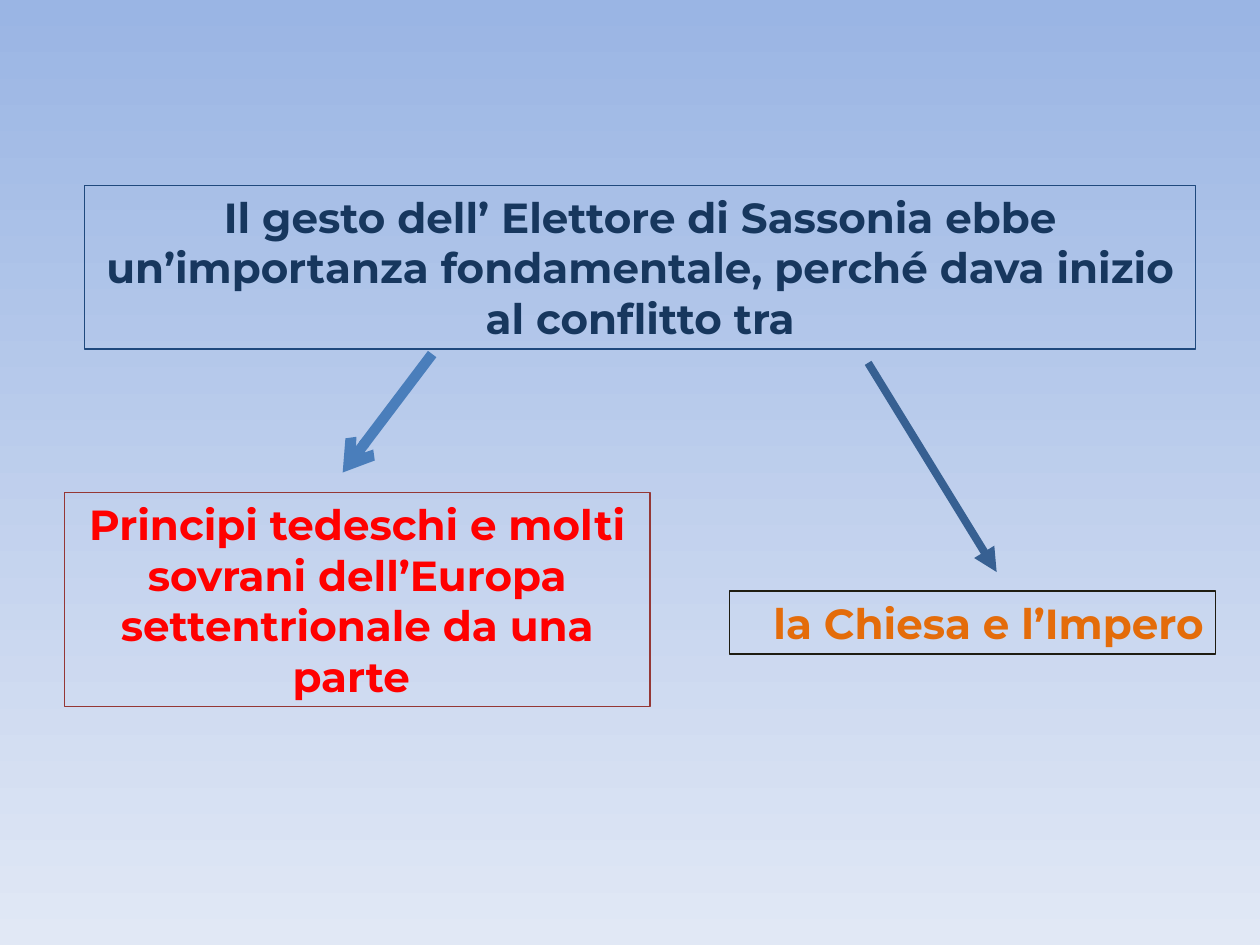
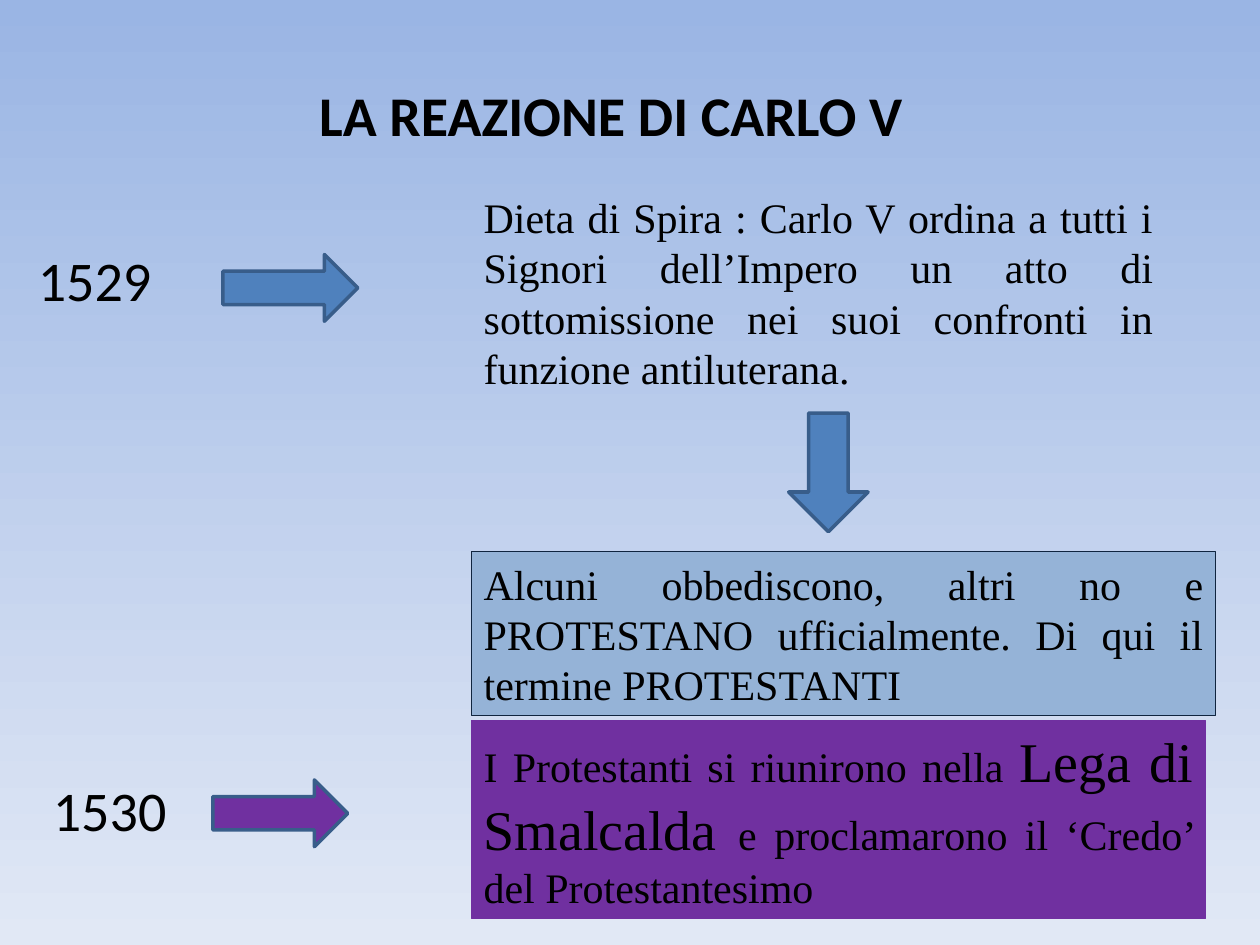
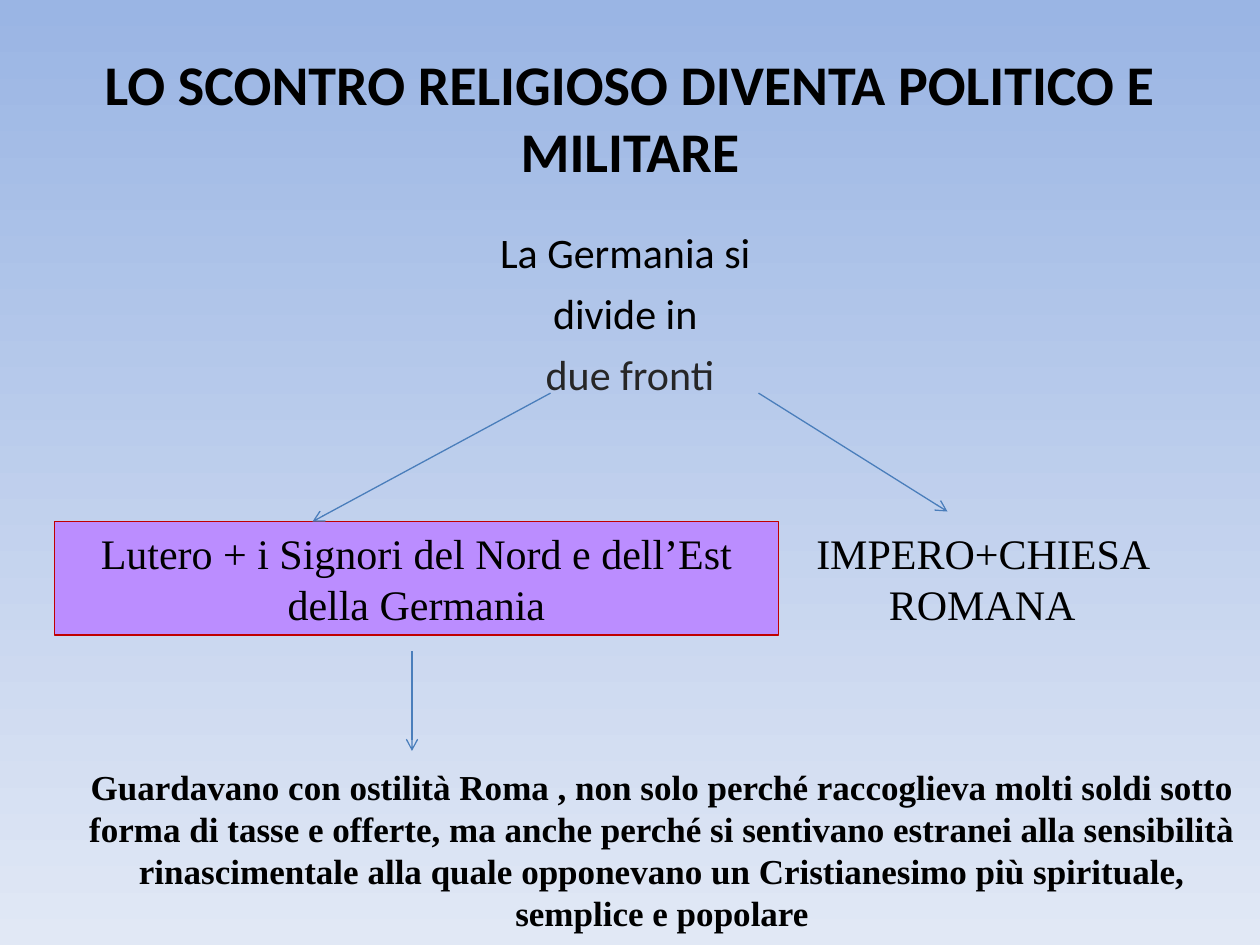
import pptx
import pptx.dml.color
import pptx.enum.shapes
import pptx.enum.text
import pptx.oxml.ns
import pptx.util
from lxml import etree

RGB = pptx.dml.color.RGBColor
SHAPES = pptx.enum.shapes.MSO_SHAPE
ALIGN = pptx.enum.text.PP_ALIGN
ANCHOR = pptx.enum.text.MSO_ANCHOR
Pt = pptx.util.Pt

# Colours
SKY = RGB(0x9A, 0xB5, 0xE4)
MIST = RGB(0xE1, 0xE8, 0xF5)
BLACK = RGB(0x00, 0x00, 0x00)
CHARCOAL = RGB(0x26, 0x26, 0x26)
INK = RGB(0x1E, 0x1C, 0x11)
NAVY = RGB(0x17, 0x37, 0x5E)
DARK_NAVY = RGB(0x10, 0x25, 0x3F)
BLUE = RGB(0x1F, 0x49, 0x7D)
STEEL = RGB(0x37, 0x60, 0x92)
ARROW_BLUE = RGB(0x4A, 0x7E, 0xBB)
BLOCK_BLUE = RGB(0x4F, 0x81, 0xBD)
BLOCK_EDGE = RGB(0x38, 0x5D, 0x8A)
PALE_BLUE = RGB(0x95, 0xB3, 0xD7)
RED = RGB(0xFF, 0x00, 0x00)
CRIMSON = RGB(0xC0, 0x00, 0x00)
BRICK = RGB(0x95, 0x37, 0x35)
ORANGE = RGB(0xE4, 0x6C, 0x0A)
PURPLE = RGB(0x70, 0x30, 0xA0)
LILAC = RGB(0xBB, 0x8D, 0xFF)

# Fonts
SANS = "Calibri"
DISPLAY = "Montserrat"
SERIF = "Times New Roman"

# Grid of 10 columns by 7.5 rows with square cells
SLIDE_WIDTH = pptx.util.Inches(10)
SLIDE_HEIGHT = pptx.util.Inches(7.5)
CELL = SLIDE_WIDTH / 10

LAYOUT_CONTENT = 1
LAYOUT_BLANK = 6


def cells(*numbers):
    """Turn grid positions into lengths."""
    return [round(number * CELL) for number in numbers]


def place(shape, area):
    shape.left, shape.top, shape.width, shape.height = cells(*area)


def style_paragraph(para, font, size, color=BLACK, bold=False, align=ALIGN.LEFT):
    para.alignment = align
    para.font.name = font
    para.font.size = Pt(size)
    para.font.bold = bold
    para.font.color.rgb = color


def set_background(deck):
    fill = deck.slide_master.background.fill
    fill.gradient()
    fill.gradient_angle = 270
    for stop, color in zip(fill.gradient_stops, (SKY, MIST)):
        stop.color.rgb = color


def add_title(page, text, area):
    title = page.shapes.title
    place(title, area)
    title.text_frame.text = text
    title.text_frame.vertical_anchor = ANCHOR.MIDDLE
    title.text_frame.auto_size = pptx.enum.text.MSO_AUTO_SIZE.NONE
    style_paragraph(title.text_frame.paragraphs[0], SANS, 32, bold=True, align=ALIGN.CENTER)


def fill_body(page, lines, area, size, align=ALIGN.LEFT):
    """Put (text, colour) lines without bullets in the body placeholder."""
    body = page.placeholders[1]
    place(body, area)
    frame = body.text_frame
    frame.auto_size = pptx.enum.text.MSO_AUTO_SIZE.NONE
    frame.text = "\n".join(text for text, _ in lines)
    for index, (para, (_, color)) in enumerate(zip(frame.paragraphs, lines)):
        properties = para._p.get_or_add_pPr()
        properties.set("marL", "0")
        properties.set("indent", "0")
        etree.SubElement(properties, pptx.oxml.ns.qn("a:buNone"))
        para.space_before = Pt(6 if index else 0)
        style_paragraph(para, SANS, size, color, align=align)


def add_box(page, area, spans, font, size=24, color=BLACK, bold=False,
            align=ALIGN.CENTER, fill=None, edge=None):
    """Add a text box; spans are (text, size) pairs or one plain string."""
    box = page.shapes.add_textbox(*cells(*area))
    if fill is not None:
        box.fill.solid()
        box.fill.fore_color.rgb = fill
    if edge is not None:
        box.line.color.rgb = edge
        box.line.width = Pt(0.75)
    box.text_frame.word_wrap = True
    para = box.text_frame.paragraphs[0]
    if isinstance(spans, str):
        para.add_run().text = spans
    else:
        for text, span_size in spans:
            span = para.add_run()
            span.text = text
            span.font.size = Pt(span_size)
    style_paragraph(para, font, size, color, bold, align)


def add_block_arrow(page, kind, area, fill=BLOCK_BLUE):
    arrow = page.shapes.add_shape(kind, *cells(*area))
    arrow.shadow.inherit = False
    arrow.fill.solid()
    arrow.fill.fore_color.rgb = fill
    arrow.line.color.rgb = BLOCK_EDGE
    arrow.line.width = Pt(2)


def add_arrow(page, start, end, color=ARROW_BLUE, width=0.75, head="arrow"):
    arrow = page.shapes.add_connector(
        pptx.enum.shapes.MSO_CONNECTOR.STRAIGHT, *cells(*start, *end))
    arrow.line.color.rgb = color
    arrow.line.width = Pt(width)
    etree.SubElement(arrow.line._get_or_add_ln(), pptx.oxml.ns.qn("a:tailEnd"), type=head)
    etree.SubElement(arrow._element.spPr, pptx.oxml.ns.qn("a:effectLst"))


def add_conflict_slide(deck):
    page = deck.slides.add_slide(deck.slide_layouts[LAYOUT_BLANK])
    add_box(page, (0.67, 1.47, 8.82, 1.3),
            "Il gesto dell’ Elettore di Sassonia ebbe un’importanza fondamentale, "
            "perché dava inizio al conflitto tra",
            DISPLAY, color=NAVY, bold=True, edge=BLUE)
    add_box(page, (0.51, 3.91, 4.65, 1.7),
            "Principi tedeschi e molti sovrani dell’Europa settentrionale da una parte ",
            DISPLAY, color=RED, bold=True, edge=BRICK)
    add_box(page, (5.79, 4.69, 3.86, 0.5), "la Chiesa e l’Impero",
            DISPLAY, color=ORANGE, bold=True, align=ALIGN.RIGHT, edge=INK)
    add_arrow(page, (3.43, 2.81), (2.72, 3.75), width=6)
    add_arrow(page, (6.89, 2.88), (7.91, 4.54), STEEL, 4.5, "triangle")


def add_reaction_slide(deck):
    page = deck.slides.add_slide(deck.slide_layouts[LAYOUT_CONTENT])
    text_left = 3.74
    add_title(page, "LA REAZIONE DI CARLO V", (0.35, 0.28, 9, 1.25))

    # 1529: the diet and the protest
    fill_body(page, [("1529", BLACK)], (0.2, 1.9, 1.42, 0.64), 32)
    add_block_arrow(page, SHAPES.RIGHT_ARROW, (1.77, 2.02, 1.07, 0.53))
    add_box(page, (text_left, 1.47, 5.51, 1.7),
            "Dieta di Spira : Carlo V ordina a tutti i Signori dell’Impero un atto di "
            "sottomissione nei suoi confronti in funzione antiluterana.",
            SERIF, align=ALIGN.JUSTIFY)
    add_block_arrow(page, SHAPES.DOWN_ARROW, (6.26, 3.28, 0.63, 0.94))
    add_box(page, (text_left, 4.38, 5.91, 1.3),
            "Alcuni obbediscono, altri no e PROTESTANO ufficialmente. "
            "Di qui il termine PROTESTANTI",
            SERIF, align=ALIGN.JUSTIFY, fill=PALE_BLUE, edge=DARK_NAVY)

    # 1530: the league
    add_box(page, (0, 6.11, 1.42, 0.64), "1530", SANS, 32, align=ALIGN.RIGHT)
    add_block_arrow(page, SHAPES.RIGHT_ARROW, (1.69, 6.19, 1.07, 0.53), PURPLE)
    add_box(page, (text_left, 5.72, 5.83, 1.57),
            [("I Protestanti si riunirono nella ", 24),
             ("Lega di Smalcalda ", 32),
             ("e proclamarono il ‘Credo’ del Protestantesimo", 24)],
            SERIF, align=ALIGN.JUSTIFY, fill=PURPLE, edge=PURPLE)


def add_fronts_slide(deck):
    page = deck.slides.add_slide(deck.slide_layouts[LAYOUT_CONTENT])
    fronts_top = 4.14
    add_title(page, "LO SCONTRO RELIGIOSO DIVENTA POLITICO E MILITARE", (0.5, 0.3, 9, 1.25))
    fill_body(page,
              [("La Germania si ", BLACK), ("divide in ", BLACK), ("due fronti", CHARCOAL)],
              (0.5, 1.75, 9, 1.5), 24, ALIGN.CENTER)

    # The two fronts
    add_box(page, (0.43, fronts_top, 5.75, 0.9),
            "Lutero + i Signori del Nord e dell’Est della Germania",
            SERIF, fill=LILAC, edge=CRIMSON)
    add_box(page, (6.26, fronts_top, 3.07, 0.9), "IMPERO+CHIESA ROMANA", SERIF)
    add_arrow(page, (4.37, 3.12), (2.48, fronts_top))
    add_arrow(page, (6.02, 3.12), (7.52, 4.06))

    # Reasons of the first front
    add_arrow(page, (3.27, 5.17), (3.27, 5.96))
    add_box(page, (0.51, 6.03, 9.49, 1.44),
            "Guardavano con ostilità Roma , non solo perché raccoglieva molti soldi sotto "
            "forma di tasse e offerte, ma anche perché si sentivano estranei alla "
            "sensibilità rinascimentale alla quale opponevano un Cristianesimo "
            "più spirituale, semplice e popolare",
            SERIF, 20, bold=True)


def main():
    deck = pptx.Presentation()
    deck.slide_width = SLIDE_WIDTH
    deck.slide_height = SLIDE_HEIGHT
    set_background(deck)
    add_conflict_slide(deck)
    add_reaction_slide(deck)
    add_fronts_slide(deck)
    deck.save("out.pptx")


if __name__ == "__main__":
    main()
